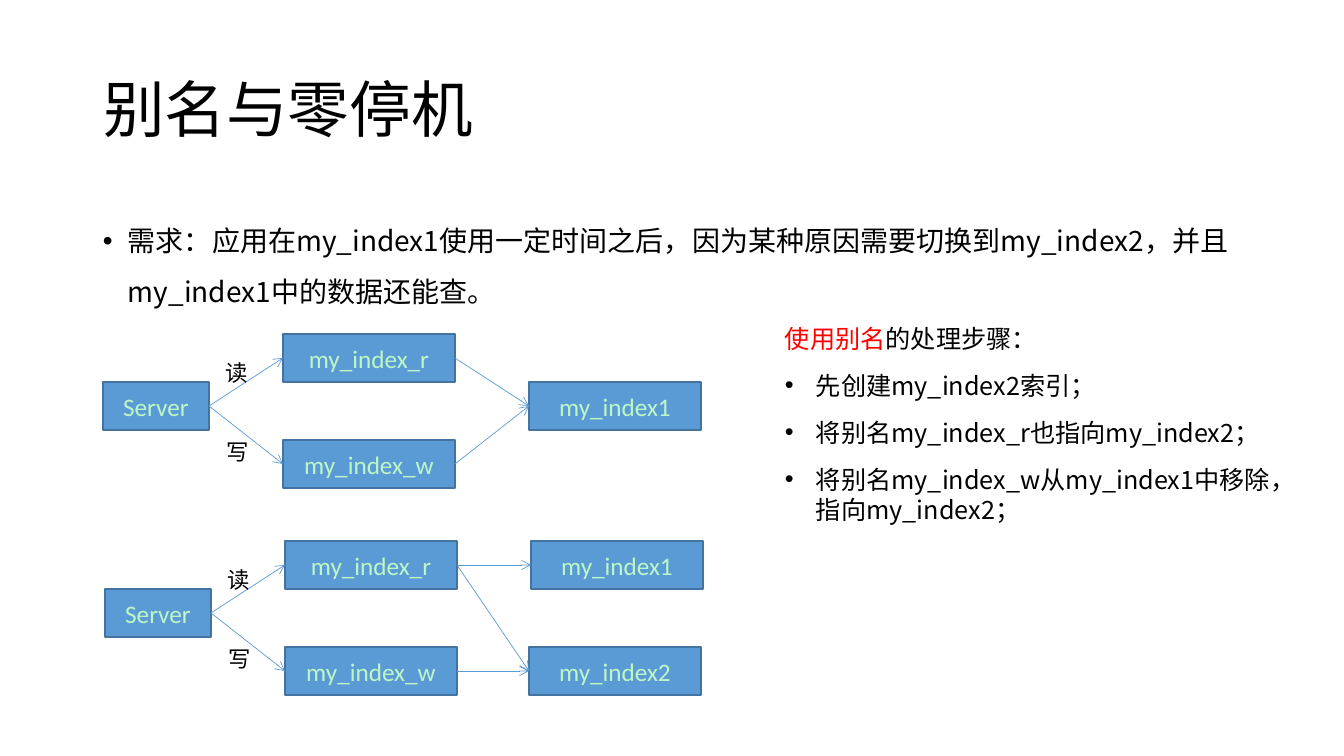
from dataclasses import dataclass

from pptx import Presentation
from pptx import util as u
from pptx.dml.color import RGBColor
from pptx.enum import shapes, text
from pptx.oxml.ns import qn
from lxml import etree

TOP, LEFT, BOTTOM, RIGHT = range(4)


@dataclass(frozen=True)
class Theme:
    ink: str = "000000"
    accent: str = "FF0000"
    box: str = "5B9BD5"
    box_line: str = "43739E"
    box_text: str = "BDF7C5"
    latin: str = "Calibri"
    cjk: str = "Noto Sans CJK SC"
    title: int = 44
    body: int = 20
    step: int = 18
    label: int = 16


def px(n):
    return u.Emu(round(n * 914400 / 100.8))


def apply(obj, values):
    for name, value in values.items():
        setattr(obj, name, value)


class SlideBuilder:
    def __init__(self, prs, theme):
        self.t = theme
        self.s = prs.slides.add_slide(prs.slide_layouts[5])

    def run(self, p, words, size, color, font):
        r = p.add_run()
        r.text = words
        apply(r.font, dict(name=font, size=u.Pt(size)))
        r.font.color.rgb = RGBColor.from_string(color)
        etree.SubElement(r.font._element, qn("a:ea"), typeface=self.t.cjk)

    def bullet(self, p, indent):
        """Hang the paragraph by indent px behind a round bullet."""
        pPr = p._p.get_or_add_pPr()
        pPr.set("marL", str(px(indent)))
        pPr.set("indent", str(-px(indent)))
        etree.SubElement(pPr, qn("a:buFont"), typeface="Arial")
        etree.SubElement(pPr, qn("a:buChar"), char="•")

    def title(self, words, x, y, w, h):
        sp = self.s.shapes.title
        apply(sp, dict(left=px(x), top=px(y), width=px(w), height=px(h)))
        tf = sp.text_frame
        apply(tf, dict(word_wrap=True, vertical_anchor=text.MSO_ANCHOR.MIDDLE,
                       auto_size=text.MSO_AUTO_SIZE.NONE))
        p = tf.paragraphs[0]
        apply(p, dict(alignment=text.PP_ALIGN.LEFT, line_spacing=0.9))
        self.run(p, words, self.t.title, self.t.ink, self.t.latin)

    def textbox(self, paragraphs, x, y, w, h, size, font, wrap=True, fit=True, **spacing):
        """Each paragraph is (bullet indent or 0, [(words, colour), ...])."""
        tf = self.s.shapes.add_textbox(px(x), px(y), px(w), px(h)).text_frame
        auto = text.MSO_AUTO_SIZE
        apply(tf, dict(word_wrap=wrap, auto_size=auto.SHAPE_TO_FIT_TEXT if fit else auto.NONE))
        for i, (indent, runs) in enumerate(paragraphs):
            p = tf.add_paragraph() if i else tf.paragraphs[0]
            apply(p, spacing)
            if indent:
                self.bullet(p, indent)
            for words, color in runs:
                self.run(p, words, size, color, font)

    def label(self, words, x, y):
        self.textbox([(0, [(words, self.t.ink)])], x, y, 43, 37, self.t.label,
                     self.t.latin, wrap=False)

    def box(self, words, x, y, w=172, h=48):
        sp = self.s.shapes.add_shape(shapes.MSO_SHAPE.RECTANGLE, px(x), px(y), px(w), px(h))
        sp.shadow.inherit = False
        sp.fill.solid()
        sp.fill.fore_color.rgb = RGBColor.from_string(self.t.box)
        sp.line.color.rgb = RGBColor.from_string(self.t.box_line)
        sp.line.width = u.Pt(1)
        tf = sp.text_frame
        apply(tf, dict(word_wrap=True, vertical_anchor=text.MSO_ANCHOR.MIDDLE))
        p = tf.paragraphs[0]
        p.alignment = text.PP_ALIGN.CENTER
        self.run(p, words, self.t.step, self.t.box_text, self.t.latin)
        return sp

    def arrow(self, start, end):
        """Join the right side of start to the left side of end."""
        c = self.s.shapes.add_connector(shapes.MSO_CONNECTOR.STRAIGHT, 0, 0, 0, 0)
        c.begin_connect(start, RIGHT)
        c.end_connect(end, LEFT)
        c.line.color.rgb = RGBColor.from_string(self.t.box)
        c.line.width = u.Pt(0.5)
        etree.SubElement(c.line._get_or_add_ln(), qn("a:tailEnd"), type="arrow")
        etree.SubElement(c._element.spPr, qn("a:effectLst"))

    def read_write_flow(self, x, y, targets, links):
        """Server with its two aliases; links lists (alias, target) pairs."""
        server = self.box("Server", x, y + 48, w=106)
        boxes = {"my_index_r": self.box("my_index_r", x + 180, y),
                 "my_index_w": self.box("my_index_w", x + 180, y + 106)}
        aliases = list(boxes.values())
        for name, (dx, dy) in targets.items():
            boxes[name] = self.box(name, x + dx, y + dy)
        for alias in aliases:
            self.arrow(server, alias)
        for alias, target in links:
            self.arrow(boxes[alias], boxes[target])
        self.label("读", x + 113, y + 20)
        self.label("写", x + 114, y + 99)


def main():
    prs = Presentation()
    apply(prs, dict(slide_width=px(1344), slide_height=px(756)))
    t = Theme()
    b = SlideBuilder(prs, t)

    b.title("别名与零停机", 93, 40, 1159, 146)
    need = ("需求：应用在my_index1使用一定时间之后，因为某种原因需要切换到my_index2，"
            "并且my_index1中的数据还能查。")
    b.textbox([(25, [(need, t.ink)])], 93, 202, 1159, 480, t.body, t.cjk, fit=False,
              line_spacing=1.5, space_before=u.Pt(10))

    steps = ["先创建my_index2索引；",
             "将别名my_index_r也指向my_index2；",
             "将别名my_index_w从my_index1中移除，指向my_index2；"]
    heading = (0, [("使用别名", t.accent), ("的处理步骤：", t.ink)])
    b.textbox([heading] + [(31, [(step, t.ink)]) for step in steps],
              775, 318, 546, 214, t.step, t.cjk, space_after=u.Pt(12))

    b.read_write_flow(103, 334, {"my_index1": (426, 48)},
                      [("my_index_r", "my_index1"), ("my_index_w", "my_index1")])
    b.read_write_flow(105, 541, {"my_index1": (426, 0), "my_index2": (424, 106)},
                      [("my_index_r", "my_index1"), ("my_index_r", "my_index2"),
                       ("my_index_w", "my_index2")])
    prs.save("out.pptx")


if __name__ == "__main__":
    main()
